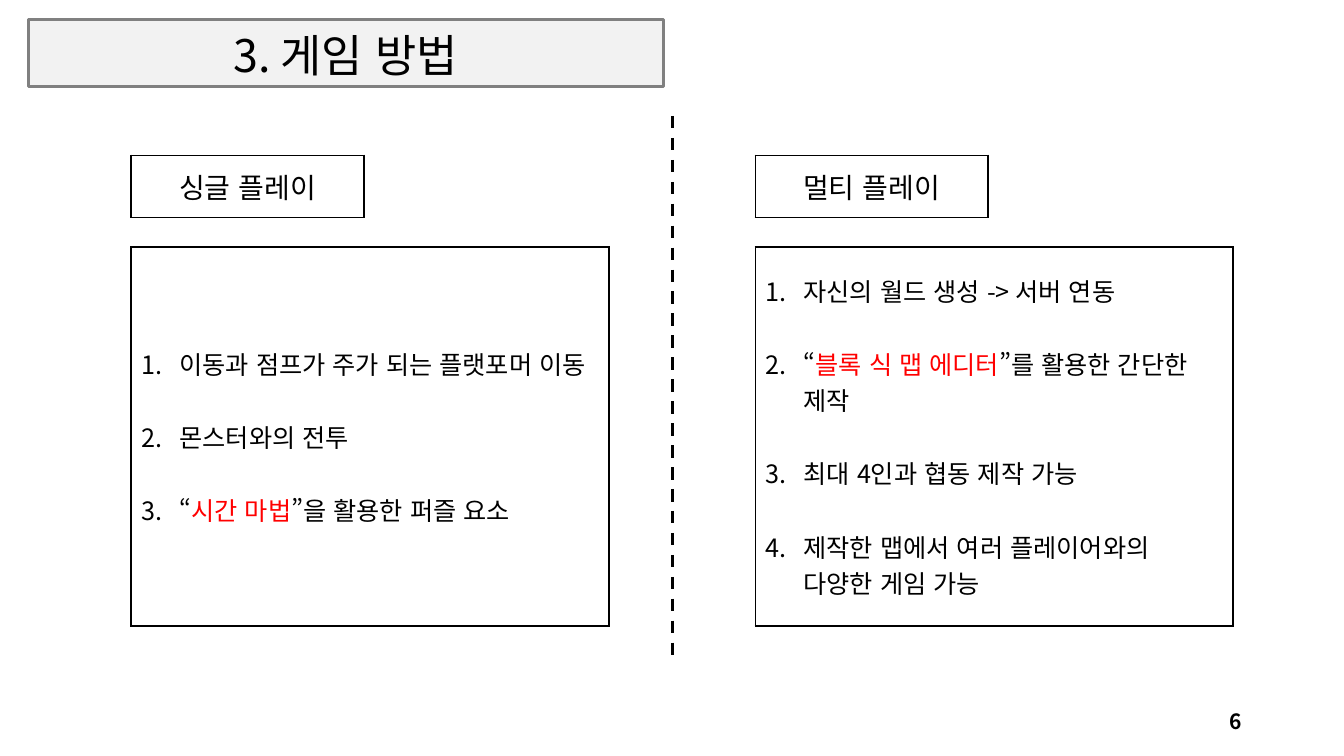
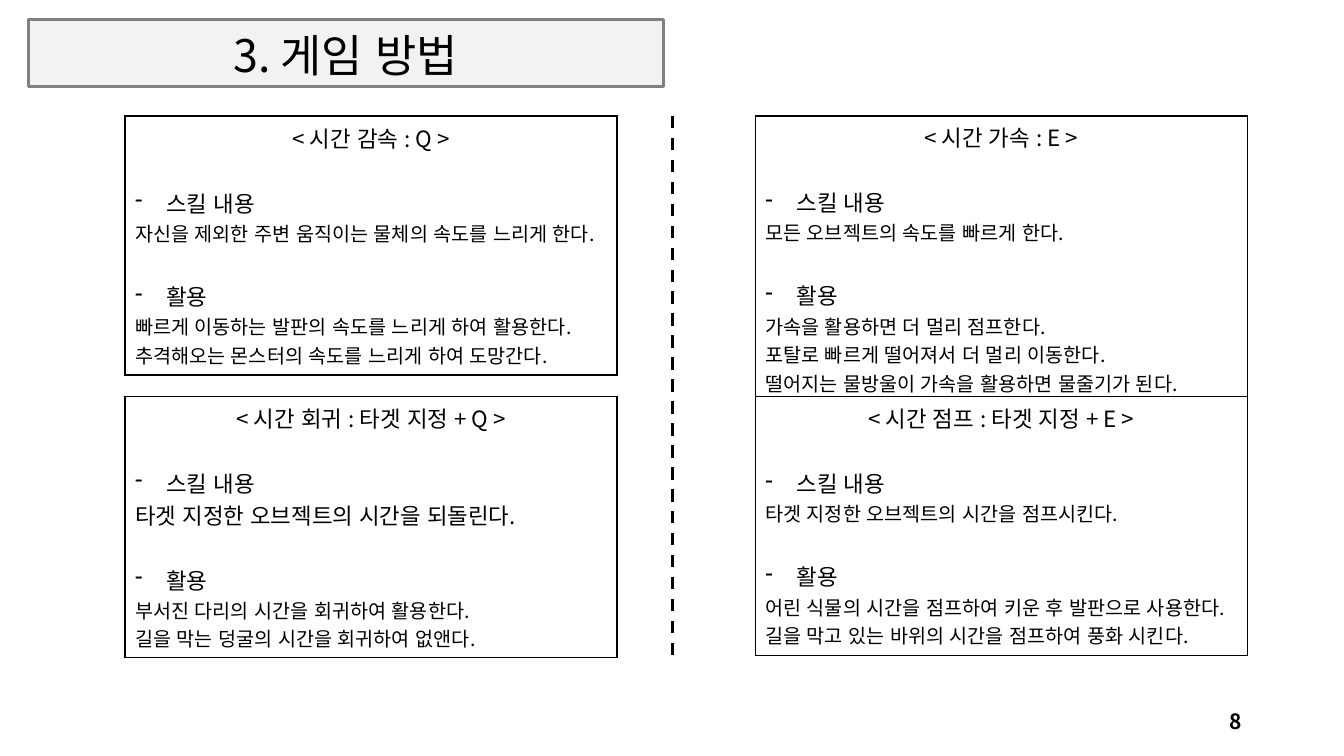
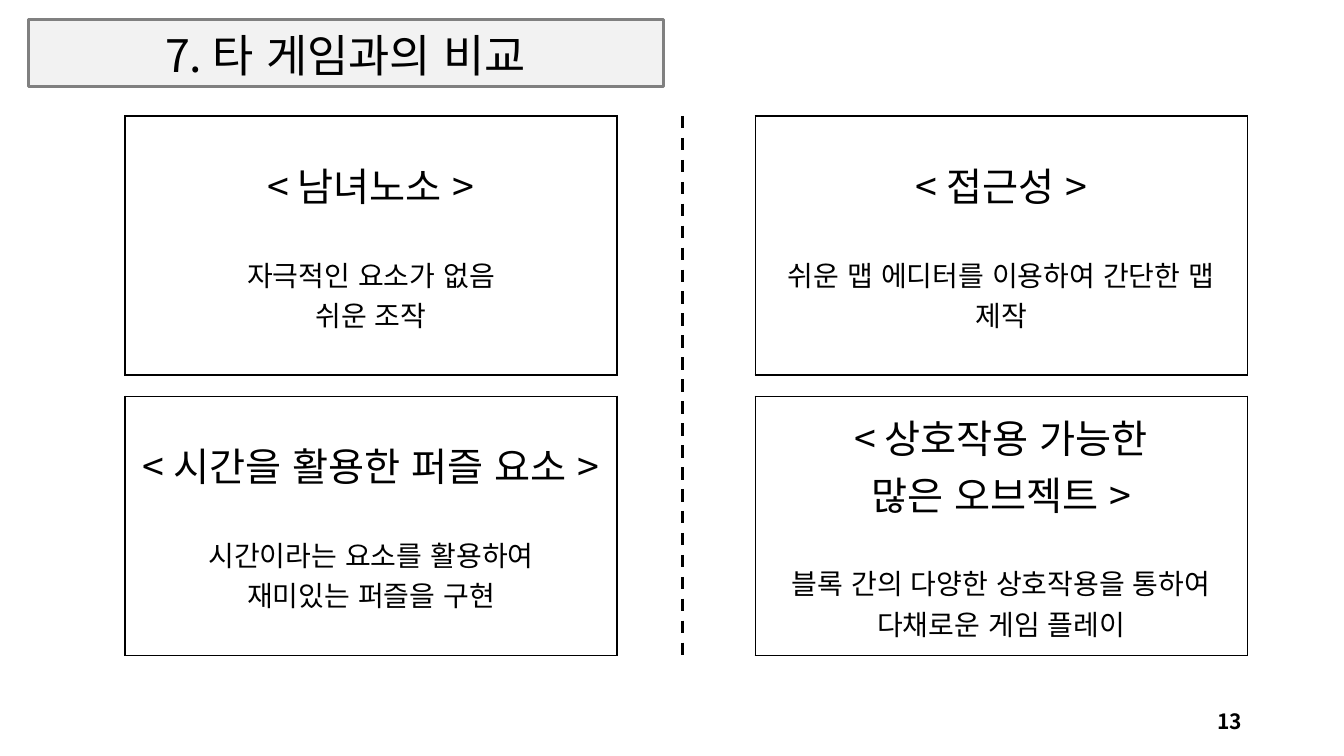
from dataclasses import dataclass
from typing import Any

from lxml.etree import SubElement as Sub
from pptx import Presentation
from pptx.dml.color import RGBColor as Rgb
from pptx.enum.dml import MSO_LINE_DASH_STYLE as Dash
from pptx.enum.lang import MSO_LANGUAGE_ID as Lang
from pptx.enum.shapes import MSO_CONNECTOR as Conn, MSO_SHAPE as Shape
from pptx.enum.text import MSO_ANCHOR as Anchor, PP_ALIGN as Align
from pptx.oxml import parse_xml
from pptx.oxml.ns import nsdecls, qn
from pptx.util import Inches, Pt

COLORS = {
    "ink": "000000",
    "paper": "FFFFFF",
    "band": "F2F2F2",
    "edge": "808080",
    "key": "FF0000",
}
FONT = {"name": "Noto Sans CJK KR", "language_id": Lang.KOREAN}
PLAIN = {"first_row": False, "horz_banding": False}
LEAD = 1.45  # line height of the font, in ems
LEFT, RIGHT = 1.24, 7.49
TOPS = (1.15, 3.93)
WIDE, HIGH = 4.88, 2.57


@dataclass(frozen=True)
class Line:
    """One paragraph; gap is the space before it, as the size of a skipped line."""

    text: str
    size: int
    mark: str = ""
    gap: int = 0
    align: Any = Align.LEFT


@dataclass(frozen=True)
class Box:
    left: float
    top: float
    width: float
    height: float
    lines: list[Line]


def rgb(name: str) -> Rgb:
    return Rgb.from_string(COLORS[name])


def apply(item: Any, values: dict[str, Any]) -> None:
    for name, value in values.items():
        setattr(item, name, value)


def add_run(para: Any, text: str, size: int, color: str = "ink", bold: bool = False) -> None:
    run = para.add_run()
    run.text = text
    apply(run.font, FONT | {"size": Pt(size), "bold": bold})
    run.font.color.rgb = rgb(color)
    Sub(run.font._element, qn("a:ea"), typeface=FONT["name"])


def add_mark(para: Any, mark: str) -> None:
    """Give a paragraph a hanging number or a hanging character."""
    props = para._p.get_or_add_pPr()
    indent = Inches(0.38 if mark == "1." else 0.31)
    props.set("marL", str(indent))
    props.set("indent", str(-indent))
    if mark == "1.":
        Sub(props, qn("a:buAutoNum"), type="arabicPeriod")
    else:
        Sub(props, qn("a:buChar"), char=mark)


def fill_para(para: Any, line: Line) -> None:
    """Write a line; parts between asterisks are in the key colour."""
    para.alignment = line.align
    para.space_before = Pt(line.gap * LEAD)
    if line.mark:
        add_mark(para, line.mark)
    for row, words in enumerate(line.text.split("\n")):
        if row:
            para.add_line_break()
        for num, part in enumerate(words.split("*")):
            add_run(para, part, line.size, "key" if num % 2 else "ink")


def add_edges(cell: Any) -> None:
    props = cell._tc.get_or_add_tcPr()
    for spot, side in enumerate("LRTB"):
        props.insert(spot, parse_xml(
            f'<a:ln{side} {nsdecls("a")} w="{Pt(1)}"><a:solidFill>'
            f'<a:srgbClr val="{COLORS["ink"]}"/></a:solidFill></a:ln{side}>'))


def add_box(slide: Any, box: Box) -> None:
    place = map(Inches, (box.left, box.top, box.width, box.height))
    table = slide.shapes.add_table(1, 1, *place).table
    apply(table, PLAIN)
    cell = table.cell(0, 0)
    cell.vertical_anchor = Anchor.MIDDLE
    cell.fill.solid()
    cell.fill.fore_color.rgb = rgb("paper")
    add_edges(cell)
    frame = cell.text_frame
    for num, line in enumerate(box.lines):
        fill_para(frame.add_paragraph() if num else frame.paragraphs[0], line)


def add_title(slide: Any, text: str) -> None:
    band = slide.shapes.add_shape(Shape.RECTANGLE, *map(Inches, (0.28, 0.19, 6.3, 0.67)))
    band.shadow.inherit = False
    band.fill.solid()
    band.fill.fore_color.rgb = rgb("band")
    band.line.color.rgb = rgb("edge")
    band.line.width = Pt(2.25)
    apply(band.text_frame, {"word_wrap": True, "vertical_anchor": Anchor.BOTTOM})
    para = band.text_frame.paragraphs[0]
    apply(para, {"alignment": Align.CENTER, "line_spacing": 0.9})
    add_run(para, text, 32)


def add_page(slide: Any, page: int) -> None:
    note = slide.shapes.add_textbox(*map(Inches, (9.42, 6.95, 3, 0.4)))
    apply(note.text_frame, {"word_wrap": True, "vertical_anchor": Anchor.MIDDLE})
    para = note.text_frame.paragraphs[0]
    para.alignment = Align.RIGHT
    add_run(para, str(page), 15, bold=True)


def add_split(slide: Any, left: float) -> None:
    """Draw the dashed line between the two columns."""
    ends = map(Inches, (left, 1.15, left, 6.54))
    split = slide.shapes.add_connector(Conn.STRAIGHT, *ends)
    split.line.color.rgb = rgb("ink")
    apply(split.line, {"width": Pt(2.25), "dash_style": Dash.DASH})
    Sub(split._element.spPr, qn("a:effectLst"))


def add_slide(deck: Any, title: str, page: int, boxes: list[Box], split: float = 6.67) -> None:
    slide = deck.slides.add_slide(deck.slide_layouts[6])
    add_title(slide, title)
    add_page(slide, page)
    add_split(slide, split)
    for box in boxes:
        add_box(slide, box)


def modes(left: float, name: str, items: list[str]) -> list[Box]:
    """A label box above a box of numbered items."""
    steps = [Line(text, 18, "1.", 18 if num else 0) for num, text in enumerate(items)]
    return [
        Box(left, 1.54, 2.31, 0.62, [Line(name, 20, align=Align.CENTER)]),
        Box(left, 2.45, 4.74, 3.76, steps),
    ]


def skill(name: str, effect: str, uses: list[str], size: int = 14) -> list[Line]:
    return [
        Line(f"< {name} >", 16, align=Align.CENTER),
        Line("스킬 내용", 16, "-", 16),
        Line(effect, size),
        Line("활용", 16, "-", 16),
        *(Line(use, 14) for use in uses),
    ]


def merit(heads: list[str], notes: list[str]) -> list[Line]:
    return [
        *(Line(head, 28, align=Align.CENTER) for head in heads),
        *(Line(note, 20, gap=0 if num else 20, align=Align.CENTER)
          for num, note in enumerate(notes)),
    ]


def fit(lines: list[Line]) -> float:
    """Card height that holds the lines, up to the top of the next row."""
    need = sum(line.size + line.gap for line in lines) * LEAD / 72 + 0.1
    return min(max(HIGH, need), TOPS[1] - TOPS[0])


def grid(cards: list[list[Line]]) -> list[Box]:
    """Place four cards row by row in two columns."""
    spots = [(left, top) for top in TOPS for left in (LEFT, RIGHT)]
    return [Box(*spot, WIDE, fit(lines), lines) for spot, lines in zip(spots, cards)]


def main() -> None:
    deck = Presentation()
    apply(deck, {"slide_width": Inches(13.33), "slide_height": Inches(7.5)})
    add_slide(deck, "3. 게임 방법", 6, [
        *modes(1.3, "싱글 플레이", [
            "이동과 점프가 주가 되는 플랫포머 이동",
            "몬스터와의 전투",
            "“*시간 마법*”을 활용한 퍼즐 요소",
        ]),
        *modes(RIGHT, "멀티 플레이", [
            "자신의 월드 생성 -> 서버 연동",
            "“*블록 식 맵 에디터*”를 활용한 간단한 제작",
            "최대 4인과 협동 제작 가능",
            "제작한 맵에서 여러 플레이어와의\n다양한 게임 가능",
        ]),
    ])
    add_slide(deck, "3. 게임 방법", 8, grid([
        skill("시간 감속 : Q", "자신을 제외한 주변 움직이는 물체의 속도를 느리게 한다.", [
            "빠르게 이동하는 발판의 속도를 느리게 하여 활용한다.",
            "추격해오는 몬스터의 속도를 느리게 하여 도망간다.",
        ]),
        skill("시간 가속 : E", "모든 오브젝트의 속도를 빠르게 한다.", [
            "가속을 활용하면 더 멀리 점프한다.",
            "포탈로 빠르게 떨어져서 더 멀리 이동한다.",
            "떨어지는 물방울이 가속을 활용하면 물줄기가 된다.",
        ]),
        skill("시간 회귀 : 타겟 지정 + Q", "타겟 지정한 오브젝트의 시간을 되돌린다.", [
            "부서진 다리의 시간을 회귀하여 활용한다.",
            "길을 막는 덩굴의 시간을 회귀하여 없앤다.",
        ], 16),
        skill("시간 점프 : 타겟 지정 + E", "타겟 지정한 오브젝트의 시간을 점프시킨다.", [
            "어린 식물의 시간을 점프하여 키운 후 발판으로 사용한다.",
            "길을 막고 있는 바위의 시간을 점프하여 풍화 시킨다.",
        ]),
    ]))
    add_slide(deck, "7. 타 게임과의 비교", 13, grid([
        merit(["< 남녀노소 >"], ["자극적인 요소가 없음", "쉬운 조작"]),
        merit(["< 접근성 >"], ["쉬운 맵 에디터를 이용하여 간단한 맵 제작"]),
        merit(["< 시간을 활용한 퍼즐 요소 >"],
              ["시간이라는 요소를 활용하여", "재미있는 퍼즐을 구현"]),
        merit(["< 상호작용 가능한", "많은 오브젝트 >"],
              ["블록 간의 다양한 상호작용을 통하여", "다채로운 게임 플레이"]),
    ]), 6.77)
    deck.save("out.pptx")


if __name__ == "__main__":
    main()
